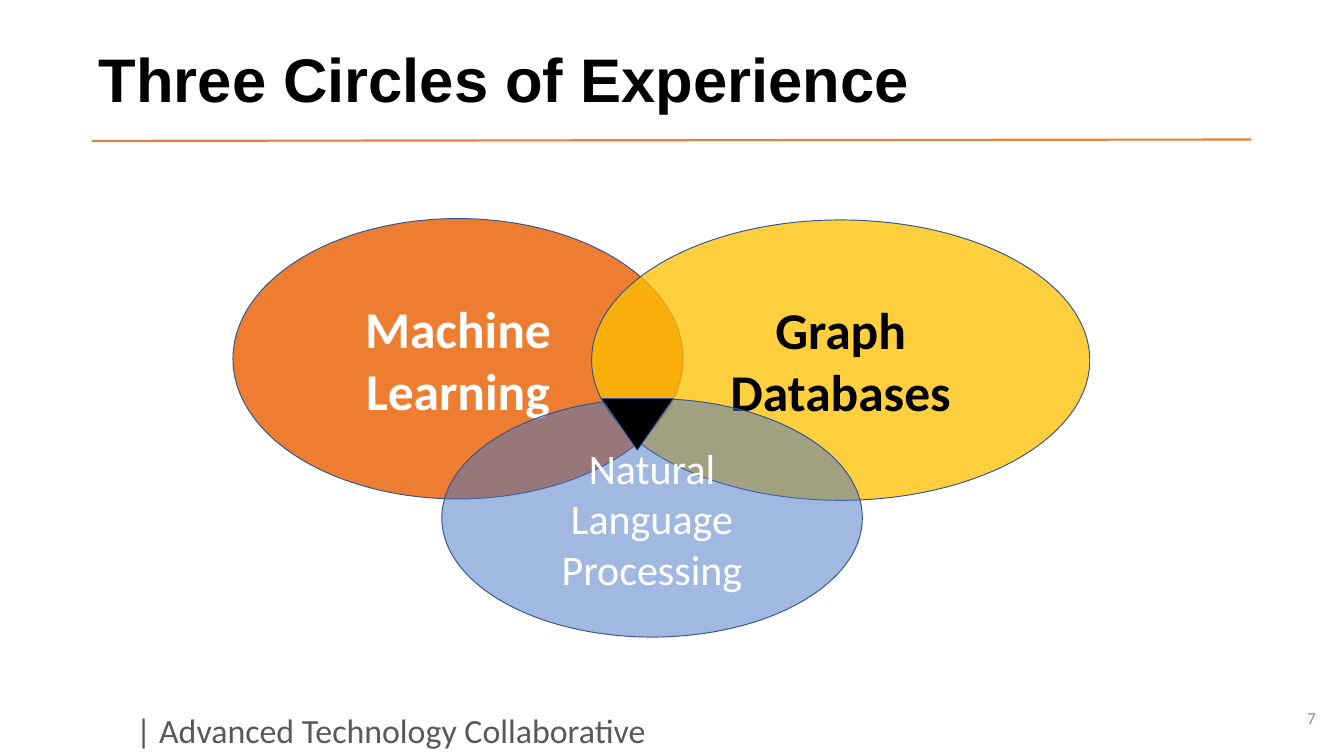
from dataclasses import dataclass

from lxml import etree
from pptx import Presentation
from pptx.dml.color import RGBColor
from pptx.enum.shapes import MSO_CONNECTOR, MSO_SHAPE
from pptx.enum.text import MSO_ANCHOR, PP_ALIGN
from pptx.oxml.ns import qn
from pptx.util import Pt

PX = 9144  # EMU per px, 100 px to the inch
ELLIPSE, TRIANGLE = MSO_SHAPE.OVAL, MSO_SHAPE.ISOSCELES_TRIANGLE
STRAIGHT = MSO_CONNECTOR.STRAIGHT
TOP, MIDDLE = MSO_ANCHOR.TOP, MSO_ANCHOR.MIDDLE
LEFT, CENTER, RIGHT = PP_ALIGN.LEFT, PP_ALIGN.CENTER, PP_ALIGN.RIGHT
ORANGE, YELLOW, BLUE = "ED7D31", "FFC000", "4472C4"
OUTLINE, BLACK, WHITE = "325491", "000000", "FFFFFF"


@dataclass
class Style:
    size: float
    color: str
    bold: bool = False
    font: str = "Calibri"
    align: PP_ALIGN = LEFT
    anchor: MSO_ANCHOR = MIDDLE
    spacing: float = 1.0


@dataclass
class Label:
    box: tuple[int, int, int, int]
    text: str
    style: Style
    wrap: bool = True


@dataclass
class Circle:
    box: tuple[int, int, int, int]
    fill: str
    opacity: int
    lines: list[str]
    style: Style


def rgb(color: str) -> RGBColor:
    return RGBColor.from_string(color)


def emu(box: tuple[int, ...]) -> list[int]:
    return [value * PX for value in box]


def write(frame, lines: list[str], style: Style, wrap: bool = True) -> None:
    frame.word_wrap = wrap
    frame.vertical_anchor = style.anchor
    for index, line in enumerate(lines):
        para = frame.add_paragraph() if index else frame.paragraphs[0]
        para.alignment = style.align
        para.line_spacing = style.spacing
        span = para.add_run()
        span.text = line
        span.font.name = style.font
        span.font.size = Pt(style.size)
        span.font.bold = style.bold
        span.font.color.rgb = rgb(style.color)


def draw_label(page, label: Label) -> None:
    box = page.shapes.add_textbox(*emu(label.box))
    write(box.text_frame, [label.text], label.style, label.wrap)


def draw_shape(page, kind: MSO_SHAPE, box: tuple[int, ...], fill: str, opacity: int = 100):
    shape = page.shapes.add_shape(kind, *emu(box))
    shape.shadow.inherit = False
    shape.fill.solid()
    shape.fill.fore_color.rgb = rgb(fill)
    shape.line.color.rgb = rgb(OUTLINE)
    shape.line.width = Pt(1)
    if opacity < 100:
        color = shape.fill._xPr.find(f"{qn('a:solidFill')}/{qn('a:srgbClr')}")
        etree.SubElement(color, qn("a:alpha")).set("val", str(opacity * 1000))
    return shape


def draw_circle(page, circle: Circle) -> None:
    shape = draw_shape(page, ELLIPSE, circle.box, circle.fill, circle.opacity)
    write(shape.text_frame, circle.lines, circle.style)


def draw_rule(page, ends: tuple[int, int, int, int]) -> None:
    rule = page.shapes.add_connector(STRAIGHT, *emu(ends))
    rule.line.color.rgb = rgb(ORANGE)
    rule.line.width = Pt(2.25)
    etree.SubElement(rule._element.spPr, qn("a:effectLst"))


LABELS = [
    Label((188, 1028, 769, 70), "| Advanced Technology Collaborative",
          Style(35.5, "595959", anchor=TOP), wrap=False),
    Label((134, 59, 1687, 121), "Three Circles of Experience",
          Style(64.5, BLACK, bold=True, font="Arial", spacing=0.9)),
    Label((1485, 1015, 440, 59), "7", Style(17.6, "8C8C8C", align=RIGHT)),
]

CIRCLES = [
    Circle((339, 318, 655, 408), ORANGE, 100, ["Machine Learning"],
           Style(54, WHITE, bold=True, align=CENTER)),
    Circle((861, 320, 725, 408), YELLOW, 76, ["Graph", "Databases"],
           Style(54, BLACK, bold=True, align=CENTER)),
    Circle((643, 580, 612, 347), BLUE, 50, ["Natural Language Processing"],
           Style(44, WHITE, align=CENTER)),
]


def main() -> None:
    deck = Presentation()
    deck.slide_width, deck.slide_height = emu((1956, 1100))
    page = deck.slides.add_slide(deck.slide_layouts[6])

    # Title, footer and page number, with the rule under the title
    draw_rule(page, (134, 205, 1821, 203))
    for label in LABELS:
        draw_label(page, label)

    # Overlapping circles
    for circle in CIRCLES:
        draw_circle(page, circle)

    # Shared centre, pointing down
    centre = draw_shape(page, TRIANGLE, (875, 580, 105, 75), BLACK)
    centre.rotation = 180

    deck.save("out.pptx")


if __name__ == "__main__":
    main()
